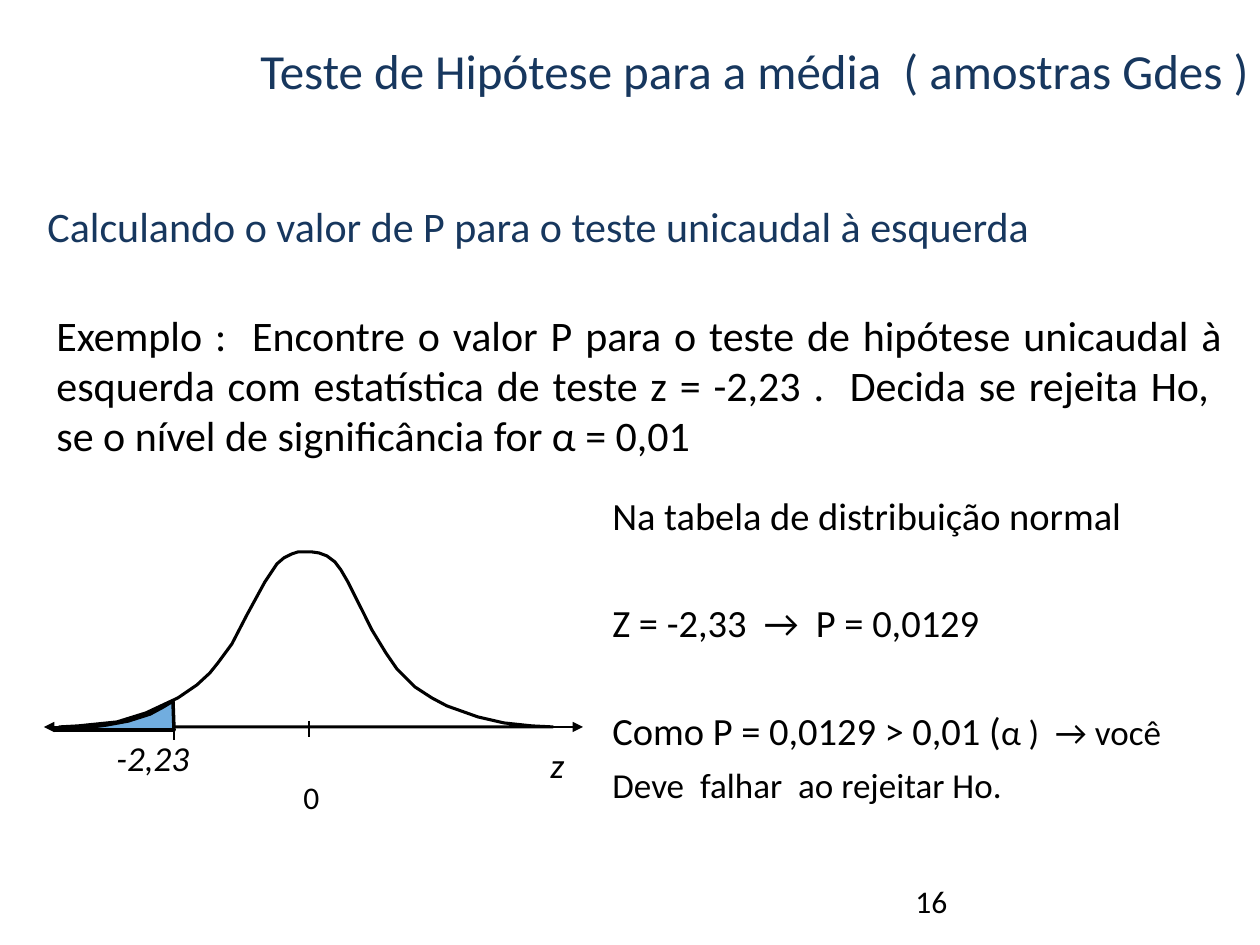
from lxml import etree
from pptx import Presentation
from pptx import util as u
from pptx.dml.color import RGBColor
from pptx.enum import shapes, text
from pptx.oxml import ns

PX = 914400 // 126
BLACK = RGBColor(0x00, 0x00, 0x00)
NAVY = RGBColor(0x17, 0x37, 0x5E)
BLUE = RGBColor(0x71, 0xAD, 0xDF)
JUSTIFY = text.PP_ALIGN.JUSTIFY

prs = Presentation()
prs.slide_width, prs.slide_height = u.Inches(10), u.Inches(7.5)
sp_tree = prs.slides.add_slide(prs.slide_layouts[6]).shapes


def add_text(box, paragraphs, size=24, color=BLACK, italic=False, align=None,
             top=6, wrap=True):
    tf = sp_tree.add_textbox(*[v * PX for v in box]).text_frame
    tf.word_wrap = wrap
    tf.margin_top = top * PX
    for i, (before, runs) in enumerate(paragraphs):
        p = tf.paragraphs[0] if i == 0 else tf.add_paragraph()
        p.alignment = align
        p.space_before = u.Pt(before)
        for words, run_size in runs:
            r = p.add_run()
            r.text = words
            r.font.name = "Calibri"
            r.font.size = u.Pt(run_size or size)
            r.font.italic = italic
            r.font.color.rgb = color


add_text((903, 876, 294, 50), [(0, [("16", None)])], size=18)
add_text((248, 35, 1186, 101),
         [(0, [("Teste de Hipótese para a média  ( amostras Gdes )", None)])],
         size=28, color=NAVY)
add_text((35, 195, 1201, 515),
         [(0, [("Calculando o valor de P para o teste unicaudal à esquerda", None)])],
         color=NAVY, align=JUSTIFY)
add_text((44, 244, 1191, 234),
         [(0, [("Exemplo :  Encontre o valor P para o teste de hipótese unicaudal à "
                "esquerda com estatística de teste z = -2,23 .  Decida se rejeita Ho,  "
                "se\u00a0o nível de significância for α = 0,01", None)])],
         align=JUSTIFY, top=65)

for x1, y1, x2, y2 in [(44, 727, 583, 727), (174, 723, 174, 740), (309, 721, 309, 737)]:
    line = sp_tree.add_connector(shapes.MSO_CONNECTOR.STRAIGHT,
                                 x1 * PX, y1 * PX, x2 * PX, y2 * PX)
    line.line.color.rgb = BLACK
    line.line.width = u.Pt(0.75)
    if y1 == y2:
        ln = line.line._get_or_add_ln()
        for end in ("a:headEnd", "a:tailEnd"):
            etree.SubElement(ln, ns.qn(end), type="triangle")
    etree.SubElement(line._element.spPr, ns.qn("a:effectLst"))

bell = [(59, 727), (78, 726), (117, 722), (146, 713), (178, 698), (197, 685),
        (210, 673), (218, 663), (232, 644), (247, 615), (265, 582), (277, 564),
        (284, 558), (292, 554), (298, 552), (305, 552), (312, 552), (319, 553),
        (327, 556), (335, 562), (341, 570), (348, 582), (364, 614), (372, 630),
        (386, 653), (397, 669), (406, 678), (415, 687), (432, 698), (447, 706),
        (478, 717), (504, 723), (532, 726), (553, 727)]
tail = [(54, 730), (83, 728), (106, 725), (128, 721), (150, 714), (163, 707),
        (173, 701), (174, 730)]
for outline, fill, width in [(bell, None, 1.75), (tail, BLUE, 2)]:
    builder = sp_tree.build_freeform(*outline[0], scale=PX)
    builder.add_line_segments(outline[1:], close=True)
    curve = builder.convert_to_shape()
    curve.shadow.inherit = False
    curve.line.color.rgb = BLACK
    curve.line.width = u.Pt(width)
    if fill is None:
        curve.fill.background()
    else:
        curve.fill.solid()
        curve.fill.fore_color.rgb = fill

add_text((291, 772, 40, 50), [(0, [("0", None)])], size=18, wrap=False)
add_text((538, 738, 82, 50), [(0, [("z", None)])], size=20, italic=True)
add_text((104, 730, 118, 55), [(0, [("-2,23", None)])], size=20, italic=True)
add_text((600, 432, 665, 396),
         [(0, [("Na tabela de distribuição normal", None)]),
          (35, [("Z = -2,33  →  P = 0,0129", None)]),
          (35, [("Como P = 0,0129 > 0,01 (", None), ("α )  → você", 20)]),
          (6, [("Deve  falhar  ao rejeitar Ho.", 20)])],
         size=22, align=JUSTIFY, top=60)

prs.save("out.pptx")
